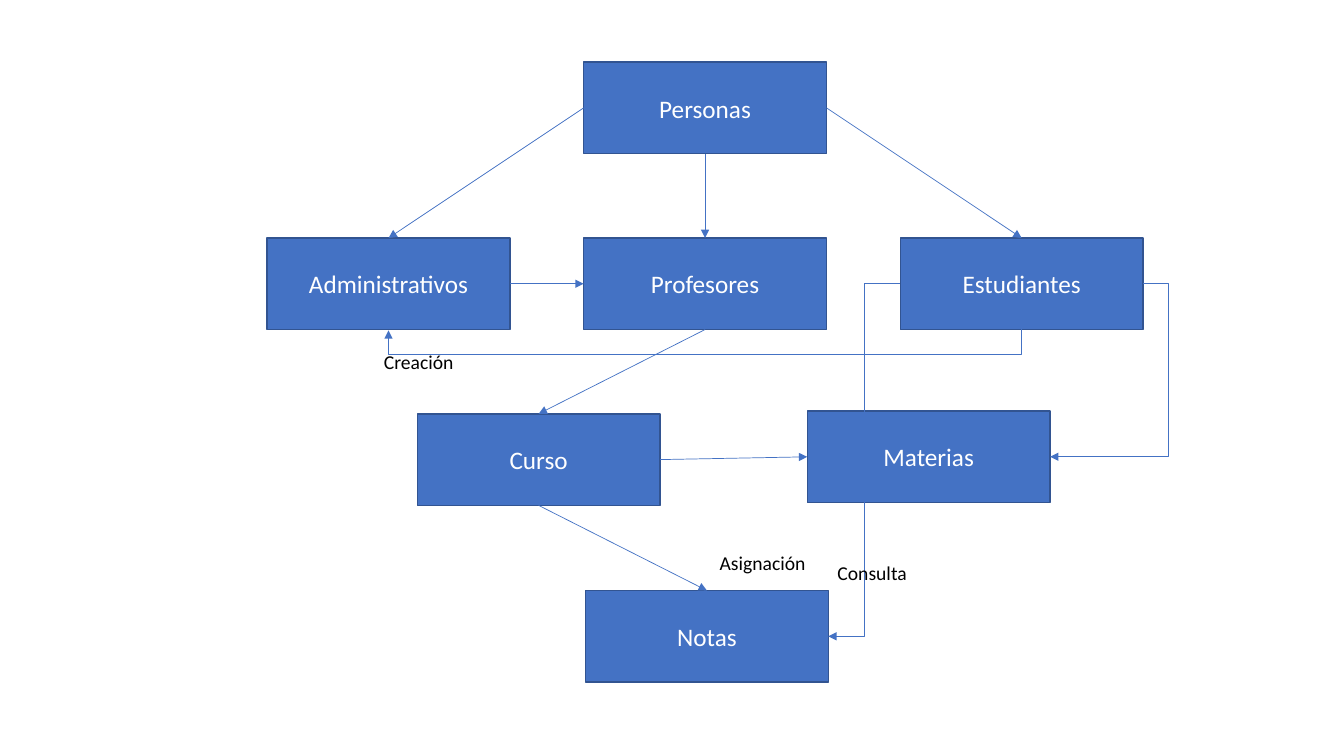
from lxml.etree import SubElement
from pptx import Presentation
from pptx.dml.color import RGBColor
from pptx.enum.shapes import MSO_CONNECTOR, MSO_SHAPE
from pptx.enum.text import MSO_ANCHOR, PP_ALIGN
from pptx.oxml.ns import qn
from pptx.util import Pt

# Content: boxes by left and top, in points
BOX_W, BOX_H = 173.5, 65.4
COL_X, COL_STEP = 190.8, 226.1
COLS = [COL_X + i * COL_STEP for i in range(3)]
BOXES = {
    "Personas": (COLS[1], 44.4),
    "Administrativos": (COLS[0], 170),
    "Profesores": (COLS[1], 170),
    "Estudiantes": (COLS[2], 170),
    "Materias": (576.6, 293.6),
    "Curso": (298, 295.6),
    "Notas": (418.2, 421.8),
}

# Connection sites of a rectangle
TOP, LEFT, BOTTOM, RIGHT = range(4)
ARROWS = [
    ("Personas", LEFT, "Administrativos", TOP),
    ("Personas", BOTTOM, "Profesores", TOP),
    ("Personas", RIGHT, "Estudiantes", TOP),
    ("Administrativos", RIGHT, "Profesores", LEFT),
    ("Curso", BOTTOM, "Notas", TOP),
    ("Profesores", BOTTOM, "Curso", TOP),
    ("Curso", RIGHT, "Materias", LEFT),
]
# Bent arrows end with the bend position as a share of the width
ELBOWS = [
    ("Estudiantes", LEFT, "Notas", RIGHT, 0.5),
    ("Estudiantes", RIGHT, "Materias", RIGHT, -0.27),
    ("Administrativos", BOTTOM, "Estudiantes", BOTTOM, 18),
]
LABELS = [
    ("Asignación", 506.9, 390.2, 78.5),
    ("Consulta", 591.1, 397.4, 67.7),
    ("Creación", 267.1, 246.2, 72.7),
]
LABEL_H = 24.3
FONT, BLUE, EDGE, WHITE, BLACK = "Calibri", "4472C4", "325491", "FFFFFF", "000000"


def rgb(value):
    return RGBColor.from_string(value)


def write(sp, text, size, color, align):
    tf = sp.text_frame
    tf.word_wrap = True
    p = tf.paragraphs[0]
    p.text = text
    p.alignment = align
    p.font.name, p.font.size = FONT, Pt(size)
    p.font.color.rgb = rgb(color)
    return tf


def add_arrow(kind, start, start_site, end, end_site):
    c = s.shapes.add_connector(kind, 0, 0, 0, 0)
    c.begin_connect(boxes[start], start_site)
    c.end_connect(boxes[end], end_site)
    c.line.color.rgb = rgb(BLUE)
    c.line.width = Pt(0.5)
    SubElement(c.line._get_or_add_ln(), qn("a:tailEnd"), type="triangle")
    SubElement(c._element.spPr, qn("a:effectLst"))
    return c


def turn_down(c):
    """Rotate a level connector so that its bend hangs below both ends."""
    span, rise = c.width, Pt(1)
    mid_x, mid_y = c.left + span // 2, c.top
    c.left, c.top = mid_x - rise // 2, mid_y - span // 2
    c.width, c.height = rise, span
    xfrm = c._element.spPr.find(qn("a:xfrm"))
    xfrm.set("rot", str(270 * 60000))
    xfrm.set("flipH", "1")


prs = Presentation()
prs.slide_width, prs.slide_height = Pt(960), Pt(540)
s = prs.slides.add_slide(prs.slide_layouts[6])

# Boxes
boxes = {}
for name, (x, y) in BOXES.items():
    sp = s.shapes.add_shape(MSO_SHAPE.RECTANGLE, Pt(x), Pt(y), Pt(BOX_W), Pt(BOX_H))
    sp.shadow.inherit = False
    sp.fill.solid()
    sp.fill.fore_color.rgb = rgb(BLUE)
    sp.line.color.rgb = rgb(EDGE)
    sp.line.width = Pt(1)
    write(sp, name, 18, WHITE, PP_ALIGN.CENTER).vertical_anchor = MSO_ANCHOR.MIDDLE
    boxes[name] = sp

# Straight arrows
for arrow in ARROWS:
    add_arrow(MSO_CONNECTOR.STRAIGHT, *arrow)

# Bent arrows
for *ends, bend in ELBOWS:
    c = add_arrow(MSO_CONNECTOR.ELBOW, *ends)
    if ends[1] == BOTTOM:
        turn_down(c)
    geom = c._element.spPr.find(qn("a:prstGeom"))
    guides = geom.find(qn("a:avLst"))
    SubElement(guides, qn("a:gd"), name="adj1", fmla=f"val {round(bend * 100000)}")

# Labels
for text, x, y, w in LABELS:
    sp = s.shapes.add_textbox(Pt(x), Pt(y), Pt(w), Pt(LABEL_H))
    write(sp, text, 14, BLACK, PP_ALIGN.LEFT)

prs.save("out.pptx")
